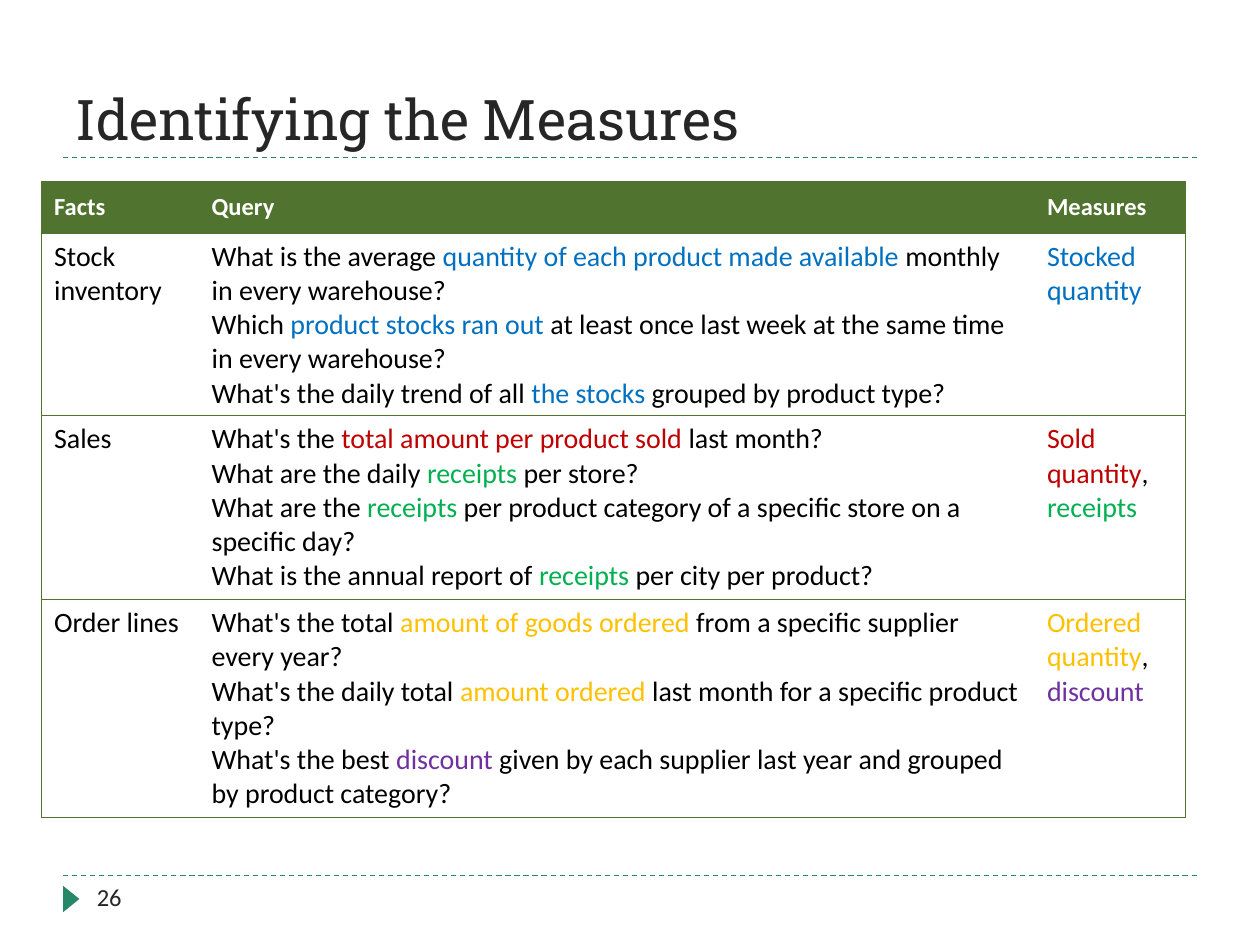
from lxml.etree import SubElement
from pptx import Presentation
from pptx.dml.color import RGBColor
from pptx.enum.dml import MSO_LINE
from pptx.enum.shapes import MSO_CONNECTOR, MSO_SHAPE
from pptx.enum.text import MSO_ANCHOR
from pptx.oxml.ns import qn
from pptx.util import Inches, Pt

BODY_FONT, TITLE_FONT = "Calibri", "Roboto Slab"
GREEN, TEAL, DARK = "50742F", "268868", "262626"
WHITE, BLACK = "FFFFFF", "000000"
STOCK, SOLD, RECEIPT, ORDER, DISCOUNT = "0070C0", "C00000", "00B050", "FFC000", "7030A0"

COLUMN_WIDTHS = [1.25, 6.63, 1.2]
ROW_HEIGHTS = [0.41, 1.45, 1.46, 1.73]
HEADINGS = ["Facts", "Query", "Measures"]

# Each cell is a list of paragraphs; each paragraph a list of (text, colour) runs
FACTS = [
    [
        [[("Stock inventory", BLACK)]],
        [
            [("What is the average ", BLACK),
             ("quantity of each product made available ", STOCK),
             ("monthly in every warehouse?", BLACK)],
            [("Which ", BLACK), ("product stocks ran out", STOCK),
             (" at least once last week at the same time in every warehouse?", BLACK)],
            [("What's the daily trend of all ", BLACK), ("the stocks", STOCK),
             (" grouped by product type?", BLACK)],
        ],
        [[("Stocked quantity", STOCK)]],
    ],
    [
        [[("Sales", BLACK)]],
        [
            [("What's the ", BLACK), ("total amount per product sold ", SOLD),
             ("last month?", BLACK)],
            [("What are the daily ", BLACK), ("receipts", RECEIPT), (" per store?", BLACK)],
            [("What are the ", BLACK), ("receipts", RECEIPT),
             (" per product category of a specific store on a specific day?", BLACK)],
            [("What is the annual report of ", BLACK), ("receipts", RECEIPT),
             (" per city per product?", BLACK)],
        ],
        [[("Sold quantity", SOLD), (",", BLACK)], [("receipts", RECEIPT)]],
    ],
    [
        [[("Order lines", BLACK)]],
        [
            [("What's the total ", BLACK), ("amount of goods ordered ", ORDER),
             ("from a specific supplier every year?", BLACK)],
            [("What's the daily total ", BLACK), ("amount ordered ", ORDER),
             ("last month for a specific product type?", BLACK)],
            [("What's the best ", BLACK), ("discount", DISCOUNT),
             (" given by each supplier last year and grouped by product category?", BLACK)],
        ],
        [[("Ordered quantity", ORDER), (",", BLACK)], [("discount", DISCOUNT)]],
    ],
]


def color(value):
    return RGBColor.from_string(value)


def write(frame, paragraphs, size, font=BODY_FONT, bold=False):
    frame.word_wrap = True
    for index, runs in enumerate(paragraphs):
        para = frame.add_paragraph() if index else frame.paragraphs[0]
        for text, shade in runs:
            span = para.add_run()
            span.text = text
            span.font.name = font
            span.font.size = Pt(size)
            span.font.bold = bold
            span.font.color.rgb = color(shade)


def add_text(page, left, top, width, height, text, size, font, anchor):
    box = page.shapes.add_textbox(Inches(left), Inches(top), Inches(width), Inches(height))
    box.text_frame.vertical_anchor = anchor
    write(box.text_frame, [[(text, DARK)]], size, font)


def add_rule(page, top):
    rule = page.shapes.add_connector(
        MSO_CONNECTOR.STRAIGHT, Inches(0.5), Inches(top), Inches(9.5), Inches(top))
    rule.line.color.rgb = color(TEAL)
    rule.line.width = Pt(0.75)
    rule.line.dash_style = MSO_LINE.DASH
    SubElement(rule._element.spPr, qn("a:effectLst"))


def add_marker(page):
    marker = page.shapes.add_shape(
        MSO_SHAPE.ISOSCELES_TRIANGLE, Inches(0.46), Inches(7.07), Inches(0.21), Inches(0.13))
    marker.rotation = 90
    marker.shadow.inherit = False
    marker.fill.solid()
    marker.fill.fore_color.rgb = color(TEAL)
    marker.line.fill.background()


def set_borders(cell, visible):
    properties = cell._tc.get_or_add_tcPr()
    for side in "LRTB":
        line = SubElement(properties, qn(f"a:ln{side}"), w=str(Pt(0.75)))
        if side in visible:
            fill = SubElement(line, qn("a:solidFill"))
            SubElement(fill, qn("a:srgbClr"), val=GREEN)
        else:
            SubElement(line, qn("a:noFill"))


def add_facts_table(page):
    rows = [[[[(heading, WHITE)]] for heading in HEADINGS]] + FACTS
    frame = page.shapes.add_table(
        len(rows), len(HEADINGS), Inches(0.33), Inches(1.44),
        Inches(sum(COLUMN_WIDTHS)), Inches(sum(ROW_HEIGHTS)))
    table = frame.table
    table.first_row = table.horz_banding = False
    for column, width in zip(table.columns, COLUMN_WIDTHS):
        column.width = Inches(width)
    for row, height in zip(table.rows, ROW_HEIGHTS):
        row.height = Inches(height)

    for row_index, row in enumerate(rows):
        header = row_index == 0
        for column_index, paragraphs in enumerate(row):
            cell = table.cell(row_index, column_index)
            # Horizontal lines everywhere, vertical ones on the outside only
            outer = {0: "L", len(HEADINGS) - 1: "R"}.get(column_index, "")
            set_borders(cell, "TB" + outer)
            if header:
                cell.fill.solid()
                cell.fill.fore_color.rgb = color(GREEN)
                cell.vertical_anchor = MSO_ANCHOR.MIDDLE
            else:
                cell.fill.background()
            write(cell.text_frame, paragraphs, 14 if header else 16, bold=header)


def main():
    deck = Presentation()
    deck.slide_width, deck.slide_height = Inches(10), Inches(7.5)
    page = deck.slides.add_slide(deck.slide_layouts[6])

    # Footer and title rules, page marker
    add_rule(page, 6.95)
    add_rule(page, 1.25)
    add_marker(page)

    # Title and page number
    add_text(page, 0.5, 0.17, 9, 1.08, "Identifying the Measures", 32, TITLE_FONT,
             MSO_ANCHOR.BOTTOM)
    add_text(page, 0.67, 6.95, 2.17, 0.4, "26", 14, BODY_FONT, MSO_ANCHOR.TOP)

    add_facts_table(page)
    deck.save("out.pptx")


if __name__ == "__main__":
    main()
